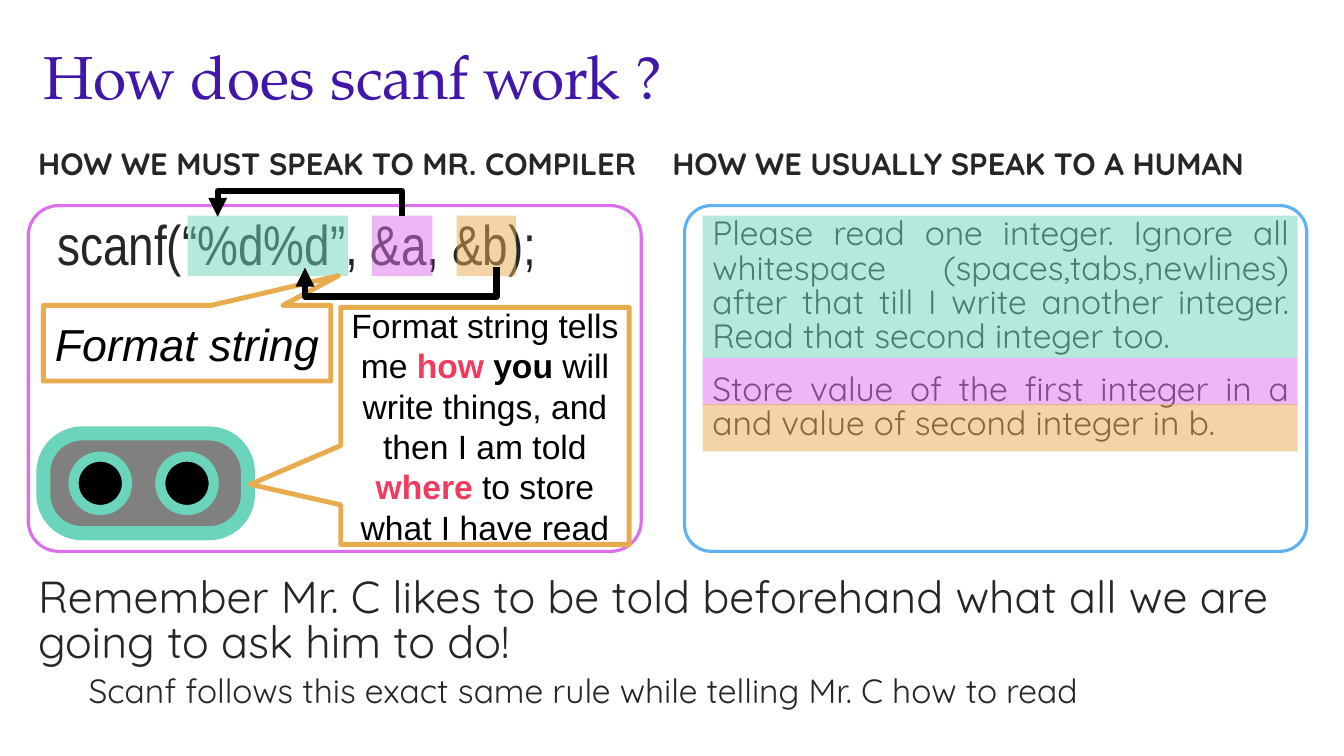
from dataclasses import dataclass

from lxml import etree
from pptx import Presentation
from pptx.dml.color import RGBColor
from pptx.enum import shapes, text
from pptx.oxml import ns
from pptx.util import Inches, Pt


@dataclass(frozen=True)
class Theme:
    title: str = "4117A9"
    ink: str = "262626"
    black: str = "000000"
    white: str = "FFFFFF"
    grey: str = "808080"
    red: str = "F03B5E"
    teal: str = "6AD5BB"
    violet: str = "DC6FEC"
    amber: str = "E8AB4E"
    blue: str = "60B1F2"
    title_font: str = "TeX Gyre Pagella"
    body_font: str = "Quicksand"
    code_font: str = "Arial Narrow"
    callout_font: str = "Arial"
    title_size: float = 43.2
    code_size: float = 40
    large: float = 32
    medium: float = 24
    heading: float = 22


THEME = Theme()
PRESET = shapes.MSO_SHAPE
ALIGN = text.PP_ALIGN
BODY_SPACING = {"line_spacing": 0.85, "space_before": Pt(13)}


def set_all(target, values):
    for name, value in values.items():
        setattr(target, name, value)


def place(shape, box):
    set_all(shape, dict(zip(("left", "top", "width", "height"), map(Inches, box))))


def add_child(parent, tag, **attributes):
    return etree.SubElement(parent, ns.qn(tag), attributes)


def write(frame, paragraphs, anchor=text.MSO_ANCHOR.MIDDLE):
    set_all(frame, {"word_wrap": True, "vertical_anchor": anchor,
                    "auto_size": text.MSO_AUTO_SIZE.NONE})
    for index, (runs, layout, indent) in enumerate(paragraphs):
        paragraph = frame.paragraphs[0] if index == 0 else frame.add_paragraph()
        set_all(paragraph, layout)
        if indent:
            paragraph._p.get_or_add_pPr().set("marL", str(Inches(indent)))
        for words, font in runs:
            run = paragraph.add_run()
            run.text = words
            run.font.color.rgb = RGBColor.from_string(font["color"])
            set_all(run.font, {name: value for name, value in font.items() if name != "color"})


def font_format(name, size, color=THEME.ink, **extra):
    return {"name": name, "size": Pt(size), "color": color, **extra}


def add_text(slide, box, paragraphs):
    textbox = slide.shapes.add_textbox(*map(Inches, box))
    write(textbox.text_frame, paragraphs)


def add_box(parent, preset, box, fill=None, line=None, weight=0, adjustments=(), opacity=None):
    shape = parent.shapes.add_shape(preset, *map(Inches, box))
    shape.shadow.inherit = False
    for index, value in enumerate(adjustments):
        shape.adjustments[index] = value
    if fill:
        shape.fill.solid()
        shape.fill.fore_color.rgb = RGBColor.from_string(fill)
    else:
        shape.fill.background()
    if opacity:
        color = shape._element.spPr.find(".//" + ns.qn("a:srgbClr"))
        add_child(color, "a:alpha", val=str(opacity * 1000))
    if line:
        shape.line.color.rgb = RGBColor.from_string(line)
        shape.line.width = Pt(weight)
    else:
        shape.line.fill.background()
    return shape


def add_panel(slide, box, line, corner, paragraphs):
    panel = add_box(slide, PRESET.ROUNDED_RECTANGLE, box, line=line, weight=2.25,
                    adjustments=[corner])
    write(panel.text_frame, paragraphs, text.MSO_ANCHOR.TOP)


def add_highlight(slide, box, color):
    add_box(slide, PRESET.RECTANGLE, box, fill=color, opacity=50)


def add_callout(slide, box, pointer, runs):
    callout = add_box(slide, PRESET.RECTANGULAR_CALLOUT, box, THEME.white, THEME.amber, 3.5, pointer)
    write(callout.text_frame, [(runs, {"alignment": ALIGN.CENTER}, 0)])


def add_robot(slide):
    robot = slide.shapes.add_group_shape()
    add_box(robot, PRESET.ROUNDED_RECTANGLE, (0.43, 4.3, 2.03, 0.99), THEME.grey, THEME.teal, 10, [0.39])
    for left in (0.73, 1.59):
        add_box(robot, PRESET.OVAL, (left, 4.53, 0.53, 0.53), THEME.black, THEME.teal, 7.25)


def add_bent_arrow(slide, box, bend, **turn):
    left, top, width, height = box
    arrow = slide.shapes.add_connector(
        shapes.MSO_CONNECTOR.ELBOW, *map(Inches, (left, top, left + width, top + height)))
    arrow.line.color.rgb = RGBColor.from_string(THEME.black)
    arrow.line.width = Pt(4.5)
    properties = arrow._element.spPr
    for name, value in turn.items():
        properties.find(ns.qn("a:xfrm")).set(name, value)
    guides = properties.find(ns.qn("a:prstGeom")).get_or_add_avLst()
    add_child(guides, "a:gd", name="adj1", fmla=f"val {round(bend / width * 100000)}")
    add_child(arrow.line._get_or_add_ln(), "a:tailEnd", type="triangle")
    add_child(properties, "a:effectLst")


def main():
    presentation = Presentation()
    set_all(presentation, {"slide_width": Inches(13.33), "slide_height": Inches(7.5)})
    slide = presentation.slides.add_slide(presentation.slide_layouts[5])

    place(slide.shapes.title, (0.33, 0.33, 12, 0.83))
    title_font = font_format(THEME.title_font, THEME.title_size, THEME.title)
    write(slide.shapes.title.text_frame,
          [([("How does scanf work ?", title_font)], {"alignment": ALIGN.LEFT}, 0)])

    heading = font_format(THEME.body_font, THEME.heading, bold=True)
    for left, words in ((0.28, "HOW WE MUST SPEAK TO MR. COMPILER"),
                        (6.57, "HOW WE USUALLY SPEAK TO A HUMAN")):
        add_text(slide, (left, 1.25, 6.29, 0.79), [([(words, heading)], BODY_SPACING, 0)])

    code = font_format(THEME.code_font, THEME.code_size)
    add_panel(slide, (0.28, 2.04, 6.08, 3.43), THEME.violet, 0.088,
              [([("scanf(“%d%d”, &a, &b);", code)], {**BODY_SPACING, "alignment": ALIGN.LEFT}, 0.1)])

    medium = font_format(THEME.body_font, THEME.medium)
    requests = (
        "Please read one integer. Ignore all whitespace (spaces,tabs,newlines) after that "
        "till I write another integer. Read that second integer too.",
        "Store value of the first integer in a and value of second integer in b.",
    )
    justified = {**BODY_SPACING, "alignment": ALIGN.JUSTIFY}
    add_panel(slide, (6.79, 2.04, 6.17, 3.43), THEME.blue, 0.077,
              [([(words, medium)], justified, 0.1) for words in requests])

    large = font_format(THEME.body_font, THEME.large)
    add_text(slide, (0.28, 5.59, 12.69, 1.59), [
        ([("Remember Mr. C likes to be told beforehand what all we are going to ask him to do!",
           large)], BODY_SPACING, 0),
        ([("Scanf follows this exact same rule while telling Mr. C how to read", medium)],
         {**BODY_SPACING, "space_before": Pt(6), "level": 1}, 0.5),
    ])

    for color, code_left, code_width, top, height in (
            (THEME.teal, 1.86, 1.59, 2.14, 1.41),
            (THEME.violet, 3.69, 0.6, 3.55, 0.47),
            (THEME.amber, 4.53, 0.59, 4.01, 0.47)):
        add_highlight(slide, (6.97, top, 5.9, height), color)
        add_highlight(slide, (code_left, 2.14, code_width, 0.6), color)

    add_robot(slide)

    plain = font_format(THEME.callout_font, THEME.medium, THEME.black)
    strong = {**plain, "bold": True}
    accent = {**strong, "color": THEME.red}
    add_callout(slide, (3.38, 3.05, 2.86, 2.35), (-0.814, 0.247), [
        ("Format string tells me ", plain), ("how ", accent), ("you", strong),
        (" will write things, and then I am told ", plain), ("where ", accent),
        ("to store what I have read", plain)])
    add_callout(slide, (0.43, 3.03, 2.85, 0.75), (0.527, -0.893), [
        ("Format string", font_format(THEME.callout_font, THEME.large, THEME.black, italic=True))])

    add_bent_arrow(slide, (3.07, 1.23, 0.01, 1.83), -0.25, rot="16200000", flipH="1", flipV="1")
    add_bent_arrow(slide, (3.97, 1.7, 0.01, 1.9), 0.3, rot="5400000")

    presentation.save("out.pptx")


main()
